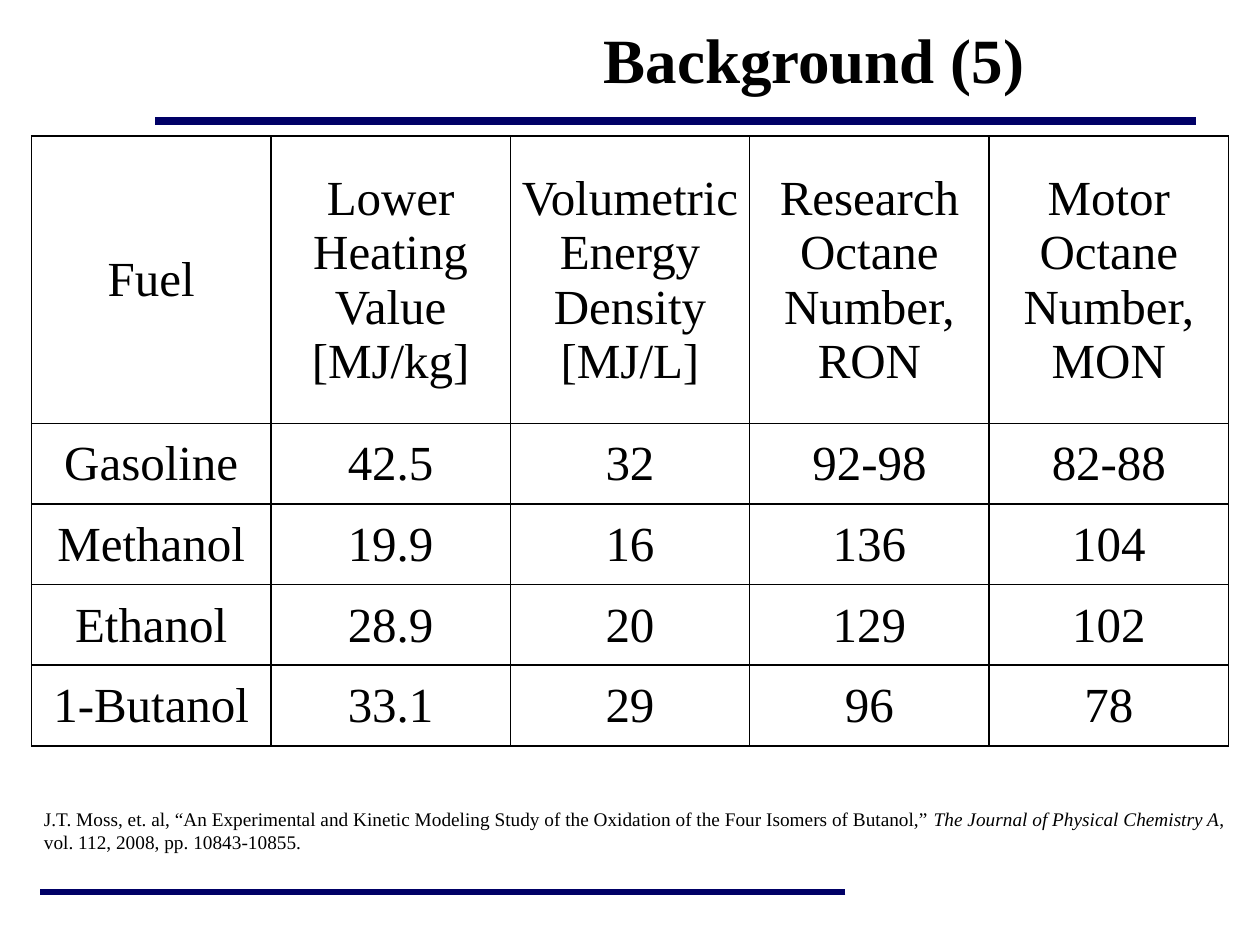
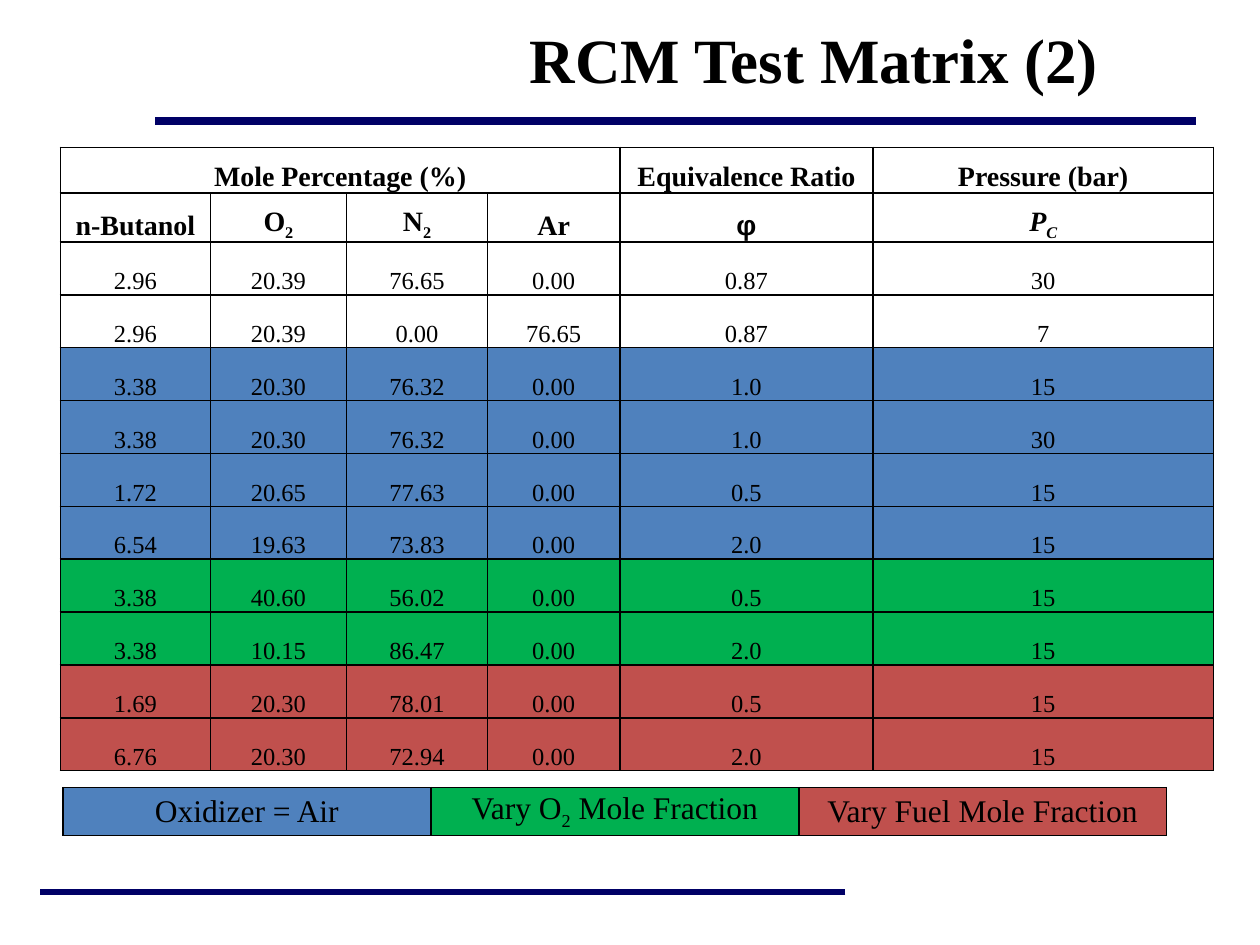
from dataclasses import dataclass
from typing import NamedTuple

from lxml import etree
from pptx import Presentation
from pptx import util as u
from pptx.dml import color
from pptx.enum import shapes, text
from pptx.oxml import ns


@dataclass(frozen=True)
class Theme:
    face: str = "Times New Roman"
    symbol: str = "Arial"
    ink: str = "000000"
    navy: str = "000066"
    white: str = "FFFFFF"
    blue: str = "4F81BD"
    green: str = "00B050"
    red: str = "C0504D"
    title: float = 36
    fuel: float = 28
    key: float = 18
    head: float = 16
    data: float = 14
    note: float = 11


class Run(NamedTuple):
    text: str
    sub: bool = False
    ital: bool = False
    face: str = ""


class Rule(NamedTuple):
    start: float
    end: float
    y: float
    width: float


class Look(NamedTuple):
    size: float
    bold: bool = False
    space: float = 1.0
    after: float = 0
    align: text.PP_ALIGN = text.PP_ALIGN.CENTER


class Row(NamedTuple):
    cells: list
    look: Look
    fill: str = ""


@dataclass
class Grid:
    left: float
    top: float
    cols: list[float]
    high: list[float]
    rows: list[Row]
    pads: tuple
    anchor: text.MSO_ANCHOR


THEME = Theme()
RULES = [Rule(6.71, 0.32, 7.08, 3), Rule(9.49, 1.23, 0.96, 4.5)]
MIDDLE, BOTTOM = text.MSO_ANCHOR.MIDDLE, text.MSO_ANCHOR.BOTTOM

FUELS = [
    ["Fuel", "Lower Heating Value [MJ/kg]", "Volumetric Energy Density [MJ/L]",
     "Research Octane Number, RON", "Motor Octane Number, MON"],
    ["Gasoline", "42.5", "32", "92-98", "82-88"],
    ["Methanol", "19.9", "16", "136", "104"],
    ["Ethanol", "28.9", "20", "129", "102"],
    ["1-Butanol", "33.1", "29", "96", "78"],
]
SOURCE = [
    Run("J.T. Moss, et. al, “An Experimental and Kinetic Modeling Study of the "
        "Oxidation of the Four Isomers of Butanol,” "),
    Run("The Journal of Physical Chemistry A", ital=True),
    Run(", vol. 112, 2008, pp. 10843-10855."),
]
GROUPS = ["Mole Percentage (%)", "", "", "", "Equivalence Ratio", "Pressure (bar)"]
TWO = Run("2", sub=True)
NAMES = [
    "n-Butanol", [Run("O"), TWO], [Run("N"), TWO], "Ar",
    [Run("φ", face=THEME.symbol)],
    [Run("P", ital=True), Run("C", sub=True, ital=True)],
]
TESTS = [
    (THEME.white, "2.96 20.39 76.65 0.00 0.87 30"),
    (THEME.white, "2.96 20.39 0.00 76.65 0.87 7"),
    (THEME.blue, "3.38 20.30 76.32 0.00 1.0 15"),
    (THEME.blue, "3.38 20.30 76.32 0.00 1.0 30"),
    (THEME.blue, "1.72 20.65 77.63 0.00 0.5 15"),
    (THEME.blue, "6.54 19.63 73.83 0.00 2.0 15"),
    (THEME.green, "3.38 40.60 56.02 0.00 0.5 15"),
    (THEME.green, "3.38 10.15 86.47 0.00 2.0 15"),
    (THEME.red, "1.69 20.30 78.01 0.00 0.5 15"),
    (THEME.red, "6.76 20.30 72.94 0.00 2.0 15"),
]
KEYS = [
    (THEME.blue, "Oxidizer = Air"),
    (THEME.green, [Run("Vary O"), TWO, Run(" Mole Fraction")]),
    (THEME.red, "Vary Fuel Mole Fraction"),
]


def rgb(code: str) -> color.RGBColor:
    return color.RGBColor.from_string(code)


def write(frame, words: str | list[Run], look: Look) -> None:
    para = frame.paragraphs[0]
    para.alignment = look.align
    para.line_spacing = look.space
    para.space_after = u.Pt(look.after)
    for part in [Run(words)] if isinstance(words, str) else words:
        run = para.add_run()
        run.text = part.text
        font = run.font
        font.name = part.face or THEME.face
        font.size = u.Pt(look.size)
        font.bold = look.bold
        font.italic = part.ital
        font.color.rgb = rgb(THEME.ink)
        if part.sub:
            run._r.get_or_add_rPr().set("baseline", "-25000")


def add_text(slide, box: tuple, words: str | list[Run], look: Look,
             anchor: text.MSO_ANCHOR) -> None:
    frame = slide.shapes.add_textbox(*map(u.Inches, box)).text_frame
    frame.word_wrap = True
    frame.vertical_anchor = anchor
    write(frame, words, look)


def add_rule(slide, rule: Rule) -> None:
    y = u.Inches(rule.y)
    line = slide.shapes.add_connector(
        shapes.MSO_CONNECTOR.STRAIGHT, u.Inches(rule.start), y, u.Inches(rule.end), y)
    line.line.color.rgb = rgb(THEME.navy)
    line.line.width = u.Pt(rule.width)
    etree.SubElement(line._element.spPr, ns.qn("a:effectLst"))


def edge(cell) -> None:
    props = cell._tc.get_or_add_tcPr()
    for side in ("lnL", "lnR", "lnT", "lnB"):
        line = etree.SubElement(props, ns.qn(f"a:{side}"), w=str(u.Pt(1)))
        fill = etree.SubElement(line, ns.qn("a:solidFill"))
        etree.SubElement(fill, ns.qn("a:srgbClr"), val=THEME.ink)


def paint(cell, fill: str) -> None:
    if fill:
        cell.fill.solid()
        cell.fill.fore_color.rgb = rgb(fill)
    else:
        cell.fill.background()


def add_grid(slide, grid: Grid):
    box = (grid.left, grid.top, sum(grid.cols), sum(grid.high))
    table = slide.shapes.add_table(
        len(grid.high), len(grid.cols), *map(u.Inches, box)).table
    table.first_row = table.horz_banding = False
    for col, width in zip(table.columns, grid.cols):
        col.width = u.Inches(width)
    for line, high, row in zip(table.rows, grid.high, grid.rows):
        line.height = u.Inches(high)
        for cell, words in zip(line.cells, row.cells):
            edge(cell)
            paint(cell, row.fill)
            cell.vertical_anchor = grid.anchor
            (cell.margin_left, cell.margin_top,
             cell.margin_right, cell.margin_bottom) = map(u.Inches, grid.pads)
            if words:
                write(cell.text_frame, words, row.look)
    return table


def add_slide(deck, title: str):
    slide = deck.slides.add_slide(deck.slide_layouts[6])
    for rule in RULES:
        add_rule(slide, rule)
    add_text(slide, (2.92, 0, 7.08, 0.92), title, Look(THEME.title, True), MIDDLE)
    return slide


def fuel_slide(deck) -> None:
    slide = add_slide(deck, "Background (5)")
    look = Look(THEME.fuel)
    add_grid(slide, Grid(
        0.25, 1.08, [1.9] * 5, [2.28] + [0.64] * 4,
        [Row(cells, look) for cells in FUELS], (0.01, 0.01, 0.01, 0), MIDDLE))
    add_text(slide, (0.25, 6.36, 9.58, 0.47), SOURCE,
             Look(THEME.note, after=3, align=text.PP_ALIGN.LEFT), text.MSO_ANCHOR.TOP)


def test_slide(deck) -> None:
    slide = add_slide(deck, "RCM Test Matrix (2)")
    pads = (0.07, 0, 0.07, 0)
    heads = [Row(GROUPS, Look(THEME.head, True, space=1.2)),
             Row(NAMES, Look(THEME.head, True, after=3))]
    data = [Row(vals.split(), Look(THEME.data), fill) for fill, vals in TESTS]
    table = add_grid(slide, Grid(
        0.48, 1.17, [1.19, 1.08, 1.12, 1.05, 2.01, 2.7],
        [0.36, 0.39] + [0.42] * len(data), heads + data, pads, BOTTOM))
    table.cell(0, 0).merge(table.cell(0, 3))
    key = add_grid(slide, Grid(
        0.5, 6.25, [2.92] * 3, [0.38],
        [Row([words for _, words in KEYS], Look(THEME.key))], pads, MIDDLE))
    for cell, (fill, _) in zip(key.rows[0].cells, KEYS):
        paint(cell, fill)


def main() -> None:
    deck = Presentation()
    deck.slide_width, deck.slide_height = u.Inches(10), u.Inches(7.5)
    fuel_slide(deck)
    test_slide(deck)
    deck.save("out.pptx")


if __name__ == "__main__":
    main()
